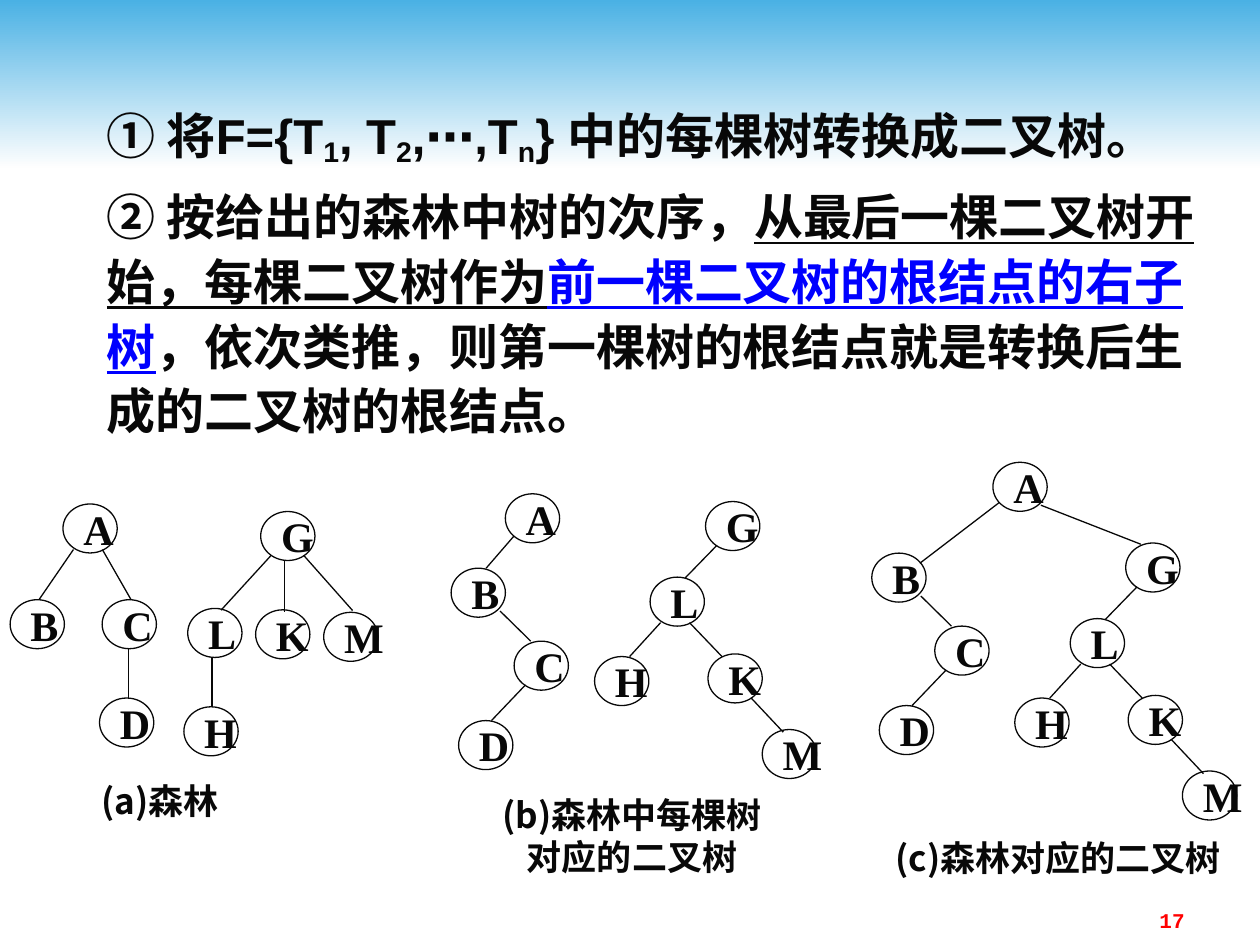
from lxml.etree import SubElement
from pptx import Presentation
from pptx.dml.color import RGBColor
from pptx.enum.shapes import MSO_CONNECTOR, MSO_SHAPE
from pptx.enum.text import MSO_ANCHOR, PP_ALIGN
from pptx.oxml.ns import qn
from pptx.util import Pt

COLORS = {"ink": "080808", "blue": "0000FF", "red": "FF0000",
          "sky": "4AB1E4", "white": "FEFEFE"}
NODE_WIDTH, NODE_HEIGHT = 31, 28

# A node is placed from its tree's corner. An edge runs from a point in the
# parent's box (x, y) to a point in the child's box (x, y).
FIRST_TREE = (
    {"A": (30.2, 0), "B": (0, 54.7), "C": (52.6, 54.7), "D": (51.1, 110.9)},
    {"AB": (6, 26, 16.5, 0), "AC": (22.5, 26, 16.5, 0), "CD": (15, 28, 16.5, 0)},
)
SECOND_TREE = (
    {"G": (43.9, 0), "L": (2.2, 55.4), "K": (41, 56.2), "M": (79.9, 57.6),
     "H": (0, 111.6)},
    {"GL": (6, 25, 19, 1), "GM": (24.5, 25, 16.5, -1), "GK": (13.6, 28.5, 16.5, 1),
     "LH": (13.8, 28, 16, 0)},
)
FIRST_BINARY = (
    {"A": (31, 0), "B": (0, 42.5), "C": (36, 84.2), "D": (4.3, 129.6)},
    {"AB": (5, 24, 20, 0), "BC": (28, 24.5, 9.5, 0), "CD": (6.5, 25, 18.7, 0)},
)
SECOND_BINARY = (
    {"G": (63.4, 0), "L": (31.7, 43.2), "K": (64.8, 87.1), "H": (0, 88.6),
     "M": (95.8, 130.3)},
    {"GL": (6.5, 25, 20, 0.5), "LK": (22.5, 26, 8, 1.5), "LH": (6, 26, 20, 0),
     "KM": (24.5, 25, 12, 1.5)},
)


def join_trees(first, second, root_place, shift, root_edges):
    """Move the first tree's root A and hang the shifted second tree from it."""
    shifted = {label: (x + shift[0], y + shift[1])
               for label, (x, y) in second[0].items()}
    return ({**first[0], **shifted, "A": root_place},
            {**first[1], **second[1], **root_edges})


JOINED_BINARY = join_trees(
    FIRST_BINARY, SECOND_BINARY, (69.2, -9.4), (81.7, 36.7),
    {"AB": (3.6, 23, 27.4, 5.8), "AG": (27.4, 24.5, 8.6, 0.7)})


def color(name):
    return RGBColor.from_string(COLORS[name])


def style_run(run, font_name, size, color_name="ink"):
    run.font.name = font_name
    run.font.size = Pt(size)
    run.font.bold = True
    run.font.color.rgb = color(color_name)


def add_text_box(slide, left, top, width, height, wrap=True):
    shape = slide.shapes.add_textbox(Pt(left), Pt(top), Pt(width), Pt(height))
    shape.text_frame.word_wrap = wrap
    return shape.text_frame


def add_header_band(slide, left, top, width, height):
    band = slide.shapes.add_shape(
        MSO_SHAPE.RECTANGLE, Pt(left), Pt(top), Pt(width), Pt(height))
    band.shadow.inherit = False
    band.line.fill.background()
    band.fill.gradient()
    band.fill.gradient_angle = 270
    for stop, position, name in zip(band.fill.gradient_stops, (0, 1), ("sky", "white")):
        stop.position = position
        stop.color.rgb = color(name)


def add_steps(slide, left, top, width, height):
    text_frame = add_text_box(slide, left, top, width, height)
    text_frame.margin_top = Pt(44.5)
    steps = [
        [("① 将F={T", ""), ("1", "sub"), (", T", ""), ("2", "sub"), (",⋯,T", ""),
         ("n", "sub"), ("} 中的每棵树转换成二叉树。", "")],
        [("② 按给出的森林中树的次序，", ""),
         ("从最后一棵二叉树开始，每棵二叉树作为", "underline"),
         ("前一棵二叉树的根结点的右子树", "underline blue"),
         ("，依次类推，则第一棵树的根结点就是转换后生成的二叉树的根结点。", "")],
    ]
    for index, pieces in enumerate(steps):
        paragraph = text_frame.add_paragraph() if index else text_frame.paragraphs[0]
        paragraph.line_spacing = 1.1
        paragraph.space_before = Pt(7)
        properties = paragraph._p.get_or_add_pPr()
        properties.set("marL", str(Pt(42)))
        properties.set("indent", "0")
        for text, look in pieces:
            run = paragraph.add_run()
            run.text = text
            style_run(run, "Arial", 28, "blue" if "blue" in look else "ink")
            if "underline" in look:
                run.font.underline = True
            if "sub" in look:
                run.font._element.set("baseline", "-18000")


def add_node(slide, label, left, top):
    node = slide.shapes.add_shape(
        MSO_SHAPE.OVAL, Pt(left), Pt(top), Pt(NODE_WIDTH), Pt(NODE_HEIGHT))
    node.shadow.inherit = False
    node.fill.background()
    node.line.color.rgb = color("ink")
    node.line.width = Pt(0.75)
    text_frame = node.text_frame
    text_frame.text = label
    text_frame.word_wrap = False
    text_frame.vertical_anchor = MSO_ANCHOR.MIDDLE
    paragraph = text_frame.paragraphs[0]
    paragraph.alignment = PP_ALIGN.LEFT
    style_run(paragraph.runs[0], "Times New Roman", 24)


def add_edge(slide, *ends):
    edge = slide.shapes.add_connector(MSO_CONNECTOR.STRAIGHT, *map(Pt, ends))
    edge.line.color.rgb = color("ink")
    edge.line.width = Pt(0.75)
    SubElement(edge._element.spPr, qn("a:effectLst"))


def add_tree(slide, left, top, tree):
    nodes, edges = tree
    places = {label: (left + x, top + y) for label, (x, y) in nodes.items()}
    for label, place in places.items():
        add_node(slide, label, *place)
    for (parent, child), (start_x, start_y, end_x, end_y) in edges.items():
        parent_x, parent_y = places[parent]
        child_x, child_y = places[child]
        add_edge(slide, parent_x + start_x, parent_y + start_y,
                 child_x + end_x, child_y + end_y)


def add_caption(slide, left, top, width, height, lines):
    """Each line after the first is set in a little."""
    text_frame = add_text_box(slide, left, top, width, height, wrap=False)
    text_frame.vertical_anchor = MSO_ANCHOR.MIDDLE
    text_frame.margin_right = 0
    text_frame.text = "\n".join(lines)
    for index, paragraph in enumerate(text_frame.paragraphs):
        if index:
            paragraph._p.get_or_add_pPr().set("marL", str(Pt(14)))
        style_run(paragraph.runs[0], "Noto Sans CJK SC", 20)


def add_page_number(slide, left, top, width, height, number):
    text_frame = add_text_box(slide, left, top, width, height)
    text_frame.text = number
    paragraph = text_frame.paragraphs[0]
    paragraph.alignment = PP_ALIGN.RIGHT
    style_run(paragraph.runs[0], "Courier New", 12, "red")


def main():
    presentation = Presentation()
    presentation.slide_width, presentation.slide_height = Pt(720), Pt(540)
    slide = presentation.slides.add_slide(presentation.slide_layouts[6])
    add_header_band(slide, 0, 0, 720, 96)
    add_steps(slide, 12, 12, 696, 247)

    add_tree(slide, 5.8, 288, FIRST_TREE)
    add_tree(slide, 105.1, 292.3, SECOND_TREE)
    add_caption(slide, 51, 443.5, 87, 28, ["(a)森林"])

    add_tree(slide, 257.8, 282.2, FIRST_BINARY)
    add_tree(slide, 339.8, 286.6, SECOND_BINARY)
    add_caption(slide, 280, 452, 170, 51, ["(b)森林中每棵树", "对应的二叉树"])

    add_tree(slide, 498.2, 273.6, JOINED_BINARY)
    add_caption(slide, 504.7, 476, 202, 28, ["(c)森林对应的二叉树"])

    add_page_number(slide, 516, 515, 168, 19.5, "17")
    presentation.save("out.pptx")


if __name__ == "__main__":
    main()
